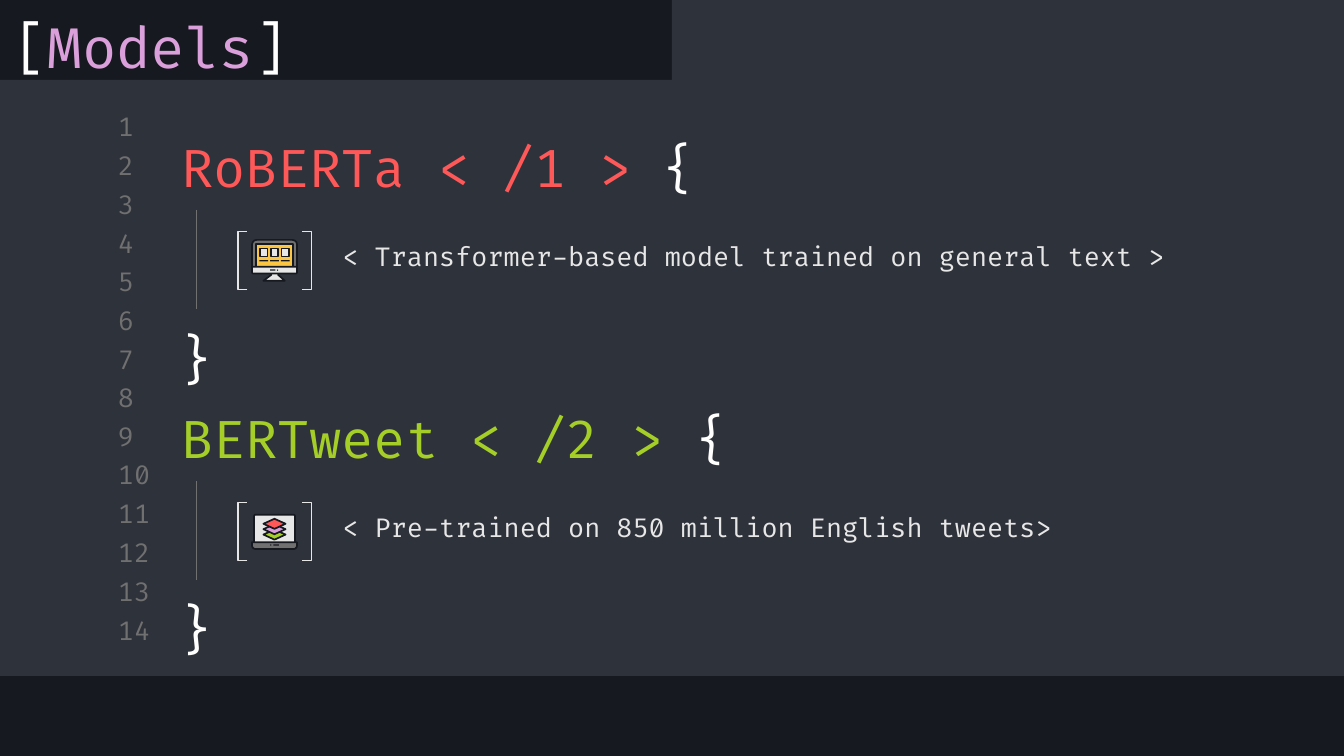
import dataclasses

import lxml.etree
import pptx
import pptx.dml.color
import pptx.enum.shapes
import pptx.enum.text
import pptx.oxml.ns
import pptx.util

PX = 4572
SHAPE = pptx.enum.shapes.MSO_SHAPE
ANCHOR = pptx.enum.text.MSO_ANCHOR
ALIGN = pptx.enum.text.PP_ALIGN


@dataclasses.dataclass(frozen=True)
class Theme:
    font: str = "Fira Code"
    ink: str = "16191F"
    panel: str = "2E323B"
    muted: str = "707070"
    light: str = "E7E7E7"
    white: str = "FFFFFF"
    red: str = "FF5858"
    green: str = "A5CF27"
    pink: str = "DBA0DB"
    yellow: str = "FCC642"
    body: int = 14
    heading: int = 28
    title: int = 30
    hairline: float = 0.75
    icon_line: float = 0.9


THEME = Theme()


def px(*lengths):
    return [pptx.util.Emu(length * PX) for length in lengths]


def rgb(color):
    return pptx.dml.color.RGBColor.from_string(color)


def style(shape, fill=None, line=None, width=THEME.icon_line):
    shape.shadow.inherit = False
    if fill:
        shape.fill.solid()
        shape.fill.fore_color.rgb = rgb(fill)
    else:
        shape.fill.background()
    if line:
        shape.line.color.rgb = rgb(line)
        shape.line.width = pptx.util.Pt(width)
    else:
        shape.line.fill.background()
    return shape


def add_preset(shapes, kind, box, fill=None, line=None, width=THEME.icon_line):
    return style(shapes.add_shape(kind, *px(*box)), fill, line, width)


def add_outline(shapes, points, fill):
    builder = shapes.build_freeform(*points[0], scale=PX)
    builder.add_line_segments(points[1:], close=True)
    return style(builder.convert_to_shape(), fill, THEME.ink)


def add_text(shapes, box, parts, size, anchor=ANCHOR.MIDDLE, align=ALIGN.LEFT):
    frame = shapes.add_textbox(*px(*box)).text_frame
    frame.word_wrap = True
    frame.vertical_anchor = anchor
    frame.margin_left, frame.margin_top, frame.margin_right, frame.margin_bottom = px(20, 20, 20, 20)
    paragraph = frame.paragraphs[0]
    paragraph.alignment = align
    for wording, color in parts:
        run = paragraph.add_run()
        run.text = wording
        run.font.name = THEME.font
        run.font.size = pptx.util.Pt(size)
        run.font.color.rgb = rgb(color)


def add_rule(shapes, x, top, bottom):
    rule = shapes.add_connector(pptx.enum.shapes.MSO_CONNECTOR.STRAIGHT, *px(x, top, x, bottom))
    rule.line.color.rgb = rgb(THEME.muted)
    rule.line.width = pptx.util.Pt(THEME.hairline)
    lxml.etree.SubElement(rule._element.spPr, pptx.oxml.ns.qn("a:effectLst"))


def add_monitor(shapes, top):
    icon = shapes.add_group_shape().shapes
    add_preset(icon, SHAPE.ROUND_2_SAME_RECTANGLE, (375, top + 1, 67, 41), THEME.muted, THEME.ink)
    add_preset(icon, SHAPE.RECTANGLE, (381, top + 7, 55, 34), THEME.yellow, THEME.ink)
    for left in (387, 403, 419):
        add_preset(icon, SHAPE.RECTANGLE, (left, top + 14, 11, 12), THEME.light, THEME.ink)
        add_preset(icon, SHAPE.RECTANGLE, (left - 1, top + 31, 13, 2), THEME.ink)
    stand = [(404, 50), (414, 50), (414, 53), (424, 62), (392, 62), (404, 53)]
    add_outline(icon, [(x, top + y) for x, y in stand], THEME.light)
    chin = add_preset(icon, SHAPE.ROUND_2_SAME_RECTANGLE, (375, top + 41, 67, 10), THEME.light, THEME.ink)
    chin.rotation = 180
    add_preset(icon, SHAPE.RECTANGLE, (402, top + 45, 8, 2), THEME.ink)
    add_preset(icon, SHAPE.OVAL, (412, top + 45, 2, 2), THEME.ink)


def add_laptop(shapes, top):
    icon = shapes.add_group_shape().shapes
    screen = add_preset(icon, SHAPE.ROUND_2_SAME_RECTANGLE, (378, top + 7, 61, 42), THEME.light, THEME.ink)
    screen.adjustments[0] = 0.05
    for offset, color in ((29, THEME.green), (21, THEME.pink), (13, THEME.red)):
        add_preset(icon, SHAPE.DIAMOND, (392, top + offset, 33, 15), color, THEME.ink)
    base = add_preset(icon, SHAPE.ROUND_2_SAME_RECTANGLE, (375, top + 48, 67, 10), THEME.muted, THEME.ink)
    base.adjustments[0] = 0.5
    base.rotation = 180
    add_preset(icon, SHAPE.OVAL, (402, top + 51, 2, 2), THEME.ink)
    add_preset(icon, SHAPE.RECTANGLE, (407, top + 51, 8, 2), THEME.ink)


def add_model(shapes, top, heading, color, description, width, add_icon):
    add_text(shapes, (250, top, 888, 108), [(heading, color), ("{", THEME.white)], THEME.heading)
    add_text(shapes, (490, top + 108, width, 158), [(description, THEME.light)], THEME.body)
    add_icon(shapes, top + 162)
    for kind, left in ((SHAPE.LEFT_BRACKET, 354), (SHAPE.RIGHT_BRACKET, 450)):
        bracket = add_preset(shapes, kind, (left, top + 151, 14, 86), line=THEME.light, width=THEME.hairline)
        bracket.adjustments[0] = 0
    add_rule(shapes, 292, top + 119, top + 266)
    add_text(shapes, (238, top + 271, 110, 134), [("}", THEME.white)], THEME.heading, ANCHOR.TOP, ALIGN.CENTER)


def add_editor(slide):
    slide.background.fill.solid()
    slide.background.fill.fore_color.rgb = rgb(THEME.ink)
    for panel in ((0, 119, 2000, 887), (1000, 0, 1000, 130)):
        add_preset(slide.shapes, SHAPE.RECTANGLE, panel, THEME.panel)
    for index in range(14):
        box = (156, 164 + round(index * 57.6), 94, 48)
        add_text(slide.shapes, box, [(str(index + 1), THEME.muted)], THEME.body)


def main():
    deck = pptx.Presentation()
    deck.slide_width, deck.slide_height = px(2000, 1125)
    slide = deck.slides.add_slide(deck.slide_layouts[6])
    add_editor(slide)
    models = [
        ("RoBERTa < /1 > ", THEME.red, "< Transformer-based model trained on general text >", 1296, add_monitor),
        ("BERTweet < /2 > ", THEME.green, "< Pre-trained on 850 million English tweets>", 1124, add_laptop),
    ]
    for index, model in enumerate(models):
        add_model(slide.shapes, 194 + index * 403, *model)
    title = [("[", THEME.white), ("Models", THEME.pink), ("]", THEME.white)]
    add_text(slide.shapes, (0, -2, 1062, 142), title, THEME.title, ANCHOR.TOP)
    deck.save("out.pptx")


if __name__ == "__main__":
    main()
